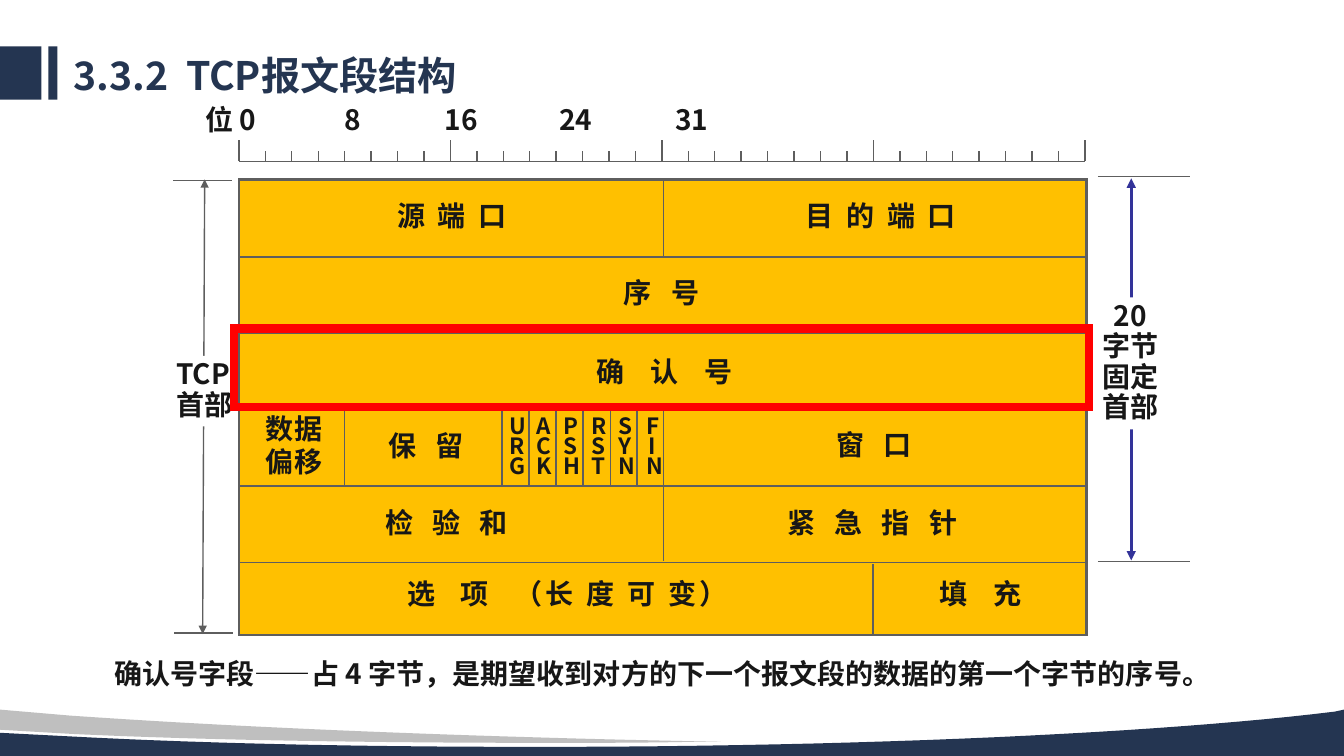
from lxml import etree
from pptx import Presentation
from pptx.dml.color import RGBColor
from pptx.enum.shapes import MSO_CONNECTOR, MSO_SHAPE
from pptx.enum.text import MSO_ANCHOR, MSO_AUTO_SIZE, PP_ALIGN
from pptx.oxml.ns import qn
from pptx.util import Inches, Pt

STRAIGHT = MSO_CONNECTOR.STRAIGHT
RECTANGLE = MSO_SHAPE.RECTANGLE
MIDDLE, TOP = MSO_ANCHOR.MIDDLE, MSO_ANCHOR.TOP
FIT_SHAPE = MSO_AUTO_SIZE.SHAPE_TO_FIT_TEXT
LEFT, CENTER, JUSTIFY = PP_ALIGN.LEFT, PP_ALIGN.CENTER, PP_ALIGN.JUSTIFY
COLORS = {"navy": "243551", "silver": "BFBFBF", "gray": "5E5E5E", "amber": "FFC000",
          "ink": "171717", "violet": "333399", "red": "FF0000", "white": "FFFFFF"}
BODY_FONT, TITLE_FONT = "Noto Sans CJK JP", "Noto Sans CJK SC"
WIDE_SPACE = 2.3


def color(name):
    """Return the named palette color."""
    return RGBColor.from_string(COLORS[name])


def curve(start, control1, control2, end, steps=24):
    """Return points along a cubic curve, without its start."""
    points = []
    for step in range(1, steps + 1):
        t = step / steps
        weights = ((1 - t) ** 3, 3 * t * (1 - t) ** 2, 3 * t * t * (1 - t), t ** 3)
        corners = (start, control1, control2, end)
        points.append(tuple(sum(w * c[axis] for w, c in zip(weights, corners))
                            for axis in (0, 1)))
    return points


class SlideBuilder:
    """Draws styled elements on one slide."""

    def __init__(self, slide):
        """Keep the slide to draw on."""
        self.slide = slide

    def paint(self, shape, fill, line, weight):
        """Set the fill and outline of a shape."""
        shape.shadow.inherit = False
        if fill:
            shape.fill.solid()
            shape.fill.fore_color.rgb = color(fill)
        else:
            shape.fill.background()
        if line:
            shape.line.color.rgb = color(line)
            shape.line.width = Pt(weight)
            etree.SubElement(shape.line._get_or_add_ln(), qn("a:miter"), lim="800000")
        else:
            shape.line.fill.background()

    def box(self, left, top, width, height, fill=None, line=None, weight=1):
        """Add a rectangle."""
        shape = self.slide.shapes.add_shape(
            RECTANGLE, Inches(left), Inches(top), Inches(width), Inches(height))
        self.paint(shape, fill, line, weight)

    def outline(self, points, fill):
        """Add a closed filled outline."""
        builder = self.slide.shapes.build_freeform(
            Inches(points[0][0]), Inches(points[0][1]))
        builder.add_line_segments([(Inches(x), Inches(y)) for x, y in points[1:]])
        self.paint(builder.convert_to_shape(), fill, None, 0)

    def line(self, x1, y1, x2, y2, stroke="gray", weight=1, arrows=False):
        """Add a straight line, optionally with arrowheads at both ends."""
        connector = self.slide.shapes.add_connector(
            STRAIGHT, Inches(x1), Inches(y1), Inches(x2), Inches(y2))
        connector.line.color.rgb = color(stroke)
        connector.line.width = Pt(weight)
        if arrows:
            for end in ("a:headEnd", "a:tailEnd"):
                etree.SubElement(connector.line._get_or_add_ln(), qn(end), type="triangle")
        etree.SubElement(connector._element.spPr, qn("a:effectLst"))

    def text(self, left, top, width, height, lines, size=20, font=BODY_FONT, ink="ink",
             align=LEFT, spacing=1.0, wrap=True, anchor=TOP, fill=None, tabs=()):
        """Add text; each line is a string or a list of (string, tracking) pieces."""
        shape = self.slide.shapes.add_textbox(
            Inches(left), Inches(top), Inches(width), Inches(height))
        if fill:
            shape.fill.solid()
            shape.fill.fore_color.rgb = color(fill)
        frame = shape.text_frame
        frame.word_wrap = wrap
        frame.auto_size = FIT_SHAPE
        frame.vertical_anchor = anchor
        for index, line in enumerate(lines):
            paragraph = frame.add_paragraph() if index else frame.paragraphs[0]
            paragraph.alignment = align
            paragraph.line_spacing = spacing
            if tabs:
                tab_list = etree.SubElement(paragraph._p.get_or_add_pPr(), qn("a:tabLst"))
                for position in tabs:
                    etree.SubElement(tab_list, qn("a:tab"), pos=str(Inches(position)), algn="l")
            pieces = [(line, 0)] if isinstance(line, str) else line
            for content, tracking in pieces:
                run = paragraph.add_run()
                run.text = content
                run.font.size = Pt(size)
                run.font.bold = True
                run.font.name = font
                run.font.color.rgb = color(ink)
                properties = run._r.get_or_add_rPr()
                etree.SubElement(properties, qn("a:ea"), typeface=font)
                if tracking:
                    properties.set("spc", str(round(tracking * 100)))

    def field(self, left, top, width, *pieces):
        """Add a field name; each piece gives its text and gap in spaces."""
        self.text(left, top, width, 0.43,
                  [[(content, (gap - 1) * WIDE_SPACE) for content, gap in pieces]])


def draw_theme(builder):
    """Draw the title bars, the waves and the title."""
    builder.box(0, 0.46, 0.41, 0.53, "navy")
    builder.box(0.48, 0.46, 0.09, 0.53, "navy")
    builder.outline([(13.33, 7.04), (13.33, 7.5), (0, 7.5), (0, 7.27), (0.77, 7.31)]
                    + curve((0.77, 7.31), (2.12, 7.38), (3.67, 7.41), (5.32, 7.41))
                    + curve((5.32, 7.41), (8.62, 7.41), (11.53, 7.27), (13.24, 7.06)), "navy")
    builder.outline([(0, 7.04), (0.7, 7.1)]
                    + curve((0.7, 7.1), (2.29, 7.21), (4.17, 7.29), (6.22, 7.34))
                    + [(7.15, 7.36), (6.84, 7.36)]
                    + curve((6.84, 7.36), (6.4, 7.37), (5.94, 7.37), (5.48, 7.37))
                    + curve((5.48, 7.37), (3.61, 7.37), (1.92, 7.34), (0.69, 7.28))
                    + [(0, 7.24)], "silver")
    builder.text(0.63, 0.51, 9.98, 0.52,
                 [[("3.3.2", 0), (" ", 2.8 * WIDE_SPACE), ("TCP报文段结构", 0)]],
                 size=28, font=TITLE_FONT, ink="navy", spacing=0.9, anchor=MIDDLE)


def draw_ruler(builder):
    """Draw the bit ruler with a long tick every eight bits."""
    left, right, base = 2.37, 10.76, 1.6
    builder.line(left, base, right, base)
    for bit in range(33):
        x = left + bit * (right - left) / 32
        builder.line(x, 1.5 if bit % 8 else 1.39, x, base)
    builder.text(1.94, 0.97, 9.03, 0.43, ["位 0\t8\t16\t24\t31"],
                 tabs=(1.38, 2.37, 3.51, 4.66))


def draw_measures(builder):
    """Draw the header length arrows on both sides."""
    builder.line(2.03, 1.78, 2.01, 6.29, arrows=True)
    builder.text(1.65, 3.53, 0.76, 0.7, ["TCP", "首部"], spacing=0.9, wrap=False, fill="white")
    builder.line(11.22, 1.77, 11.22, 5.56, "violet", 2.25, arrows=True)
    builder.text(10.83, 2.95, 0.76, 1.31, ["20", "字节", "固定", "首部"],
                 align=CENTER, spacing=0.9, wrap=False, fill="white")
    for x, y, length in ((10.89, 1.75, 0.91), (10.89, 5.57, 0.91),
                         (1.72, 1.79, 0.58), (1.73, 6.28, 0.58)):
        builder.line(x, y, x + length, y)


def draw_header(builder):
    """Draw the segment header grid and its field names."""
    left, right, row_height = 2.37, 10.78, 0.757
    builder.box(left, 1.78, right - left, 4.52, "amber", "gray", 2)
    for row in range(5):
        y = 2.55 + row * row_height
        builder.line(left, y, right, y)
    for x, top, bottom in ((6.58, 1.79, 2.56), (6.58, 4.08, 5.57),
                           (3.42, 4.08, 4.83), (8.66, 5.6, 6.3)):
        builder.line(x, top, x, bottom)
    for index, flag in enumerate(("URG", "ACK", "PSH", "RST", "SYN", "FIN")):
        divider = 4.98 + index * 0.268
        builder.line(divider, 4.08, divider, 4.82)
        builder.text(4.95 + index * 0.272, 4.1, 0.31, 0.7, list(flag), size=16,
                     align=CENTER if flag == "FIN" else LEFT, spacing=0.75, wrap=False)
    builder.field(3.84, 1.92, 1.6, ("源 端 口", 2))
    builder.field(7.89, 1.92, 2.16, ("目 的 端 口", 2))
    builder.field(6.09, 2.68, 1.51, ("序 号", 3))
    builder.field(5.82, 3.47, 3.56, ("确 认 号", 4))
    builder.text(2.54, 4.03, 0.76, 0.77, ["数据", "偏移"], wrap=False)
    builder.field(3.75, 4.2, 1.18, ("保 留", 3))
    builder.field(8.2, 4.19, 1.18, ("窗 口", 3))
    builder.field(3.72, 4.97, 1.88, ("检 验 和", 3))
    builder.field(7.71, 4.97, 2.58, ("紧 急 指 针", 3))
    builder.field(3.94, 5.67, 4.46, ("选 项 ", 4), ("（长 度 可 变）", 2))
    builder.field(9.22, 5.67, 1.37, ("填 充", 4))


def main():
    """Build the slide and save it."""
    presentation = Presentation()
    presentation.slide_width, presentation.slide_height = Inches(13.33), Inches(7.5)
    builder = SlideBuilder(presentation.slides.add_slide(presentation.slide_layouts[6]))
    draw_theme(builder)
    draw_measures(builder)
    draw_header(builder)
    draw_ruler(builder)
    builder.text(1.04, 6.3, 11.23, 0.6,
                 ["确认号字段——占 4 字节，是期望收到对方的下一个报文段的数据的第一个字节的序号。"],
                 align=JUSTIFY, spacing=1.5)
    builder.box(2.32, 3.26, 8.48, 0.78, line="red", weight=6)
    presentation.save("out.pptx")


if __name__ == "__main__":
    main()
